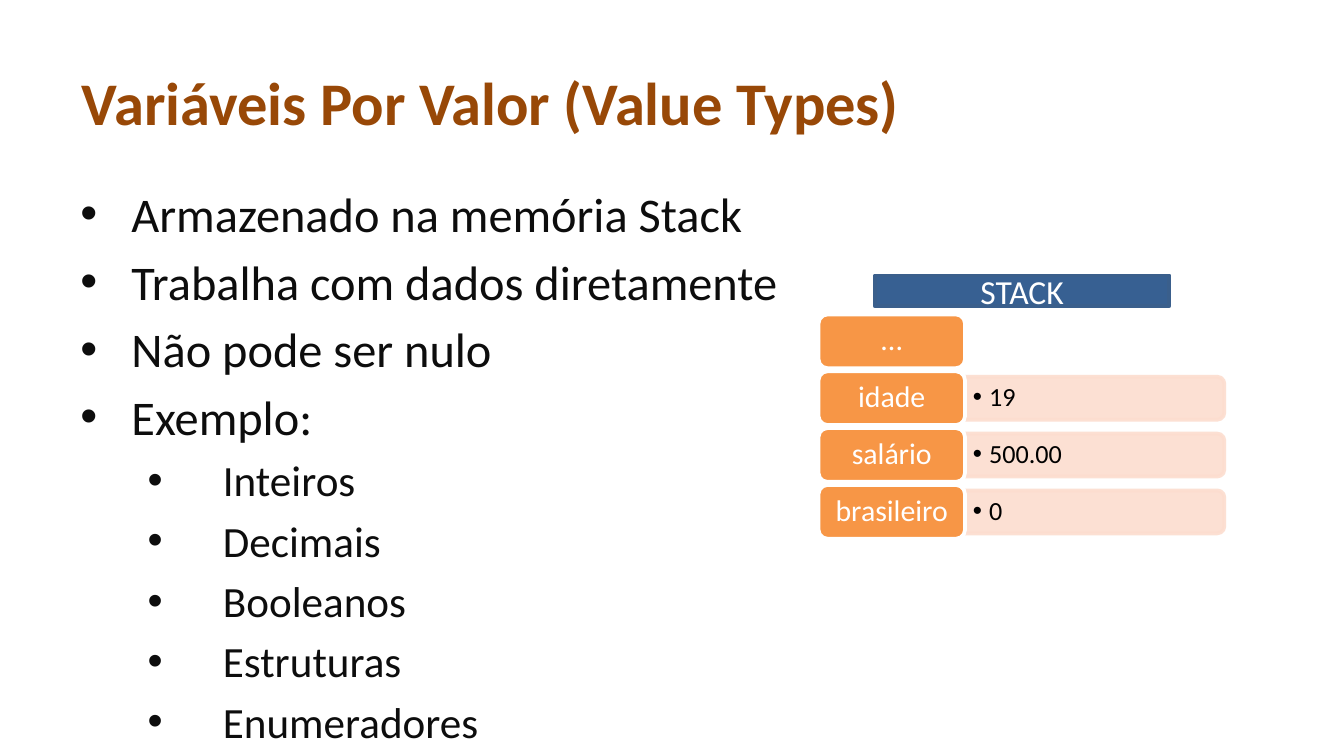
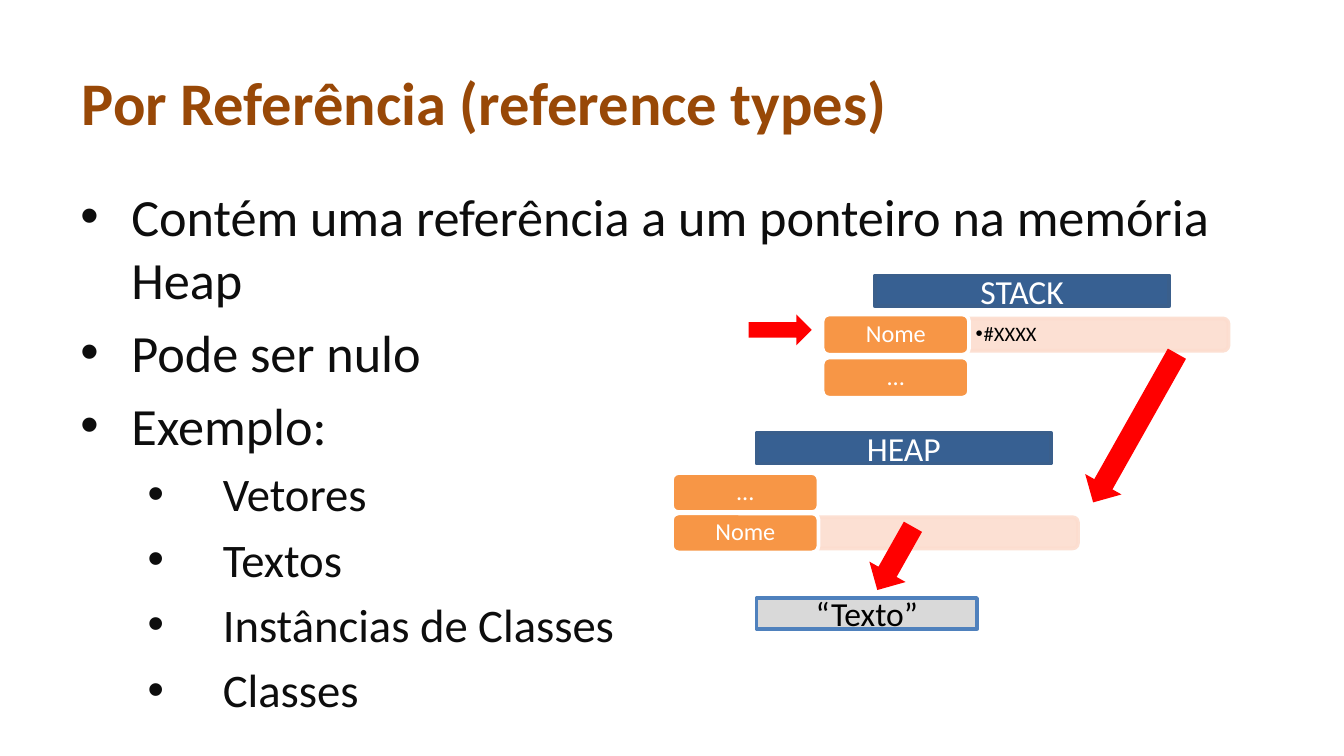
import pptx
import pptx.dml.color
import pptx.enum.shapes
import pptx.enum.text
import pptx.oxml.ns
import pptx.util
from lxml import etree

COLORS = {
    "title": "984807",
    "body": "0D0D0D",
    "name": "F79646",
    "value": "FCDDCF",
    "header": "376092",
    "header_line": "3A5F8C",
    "arrow": "FF0000",
    "object": "D9D9D9",
    "object_line": "4F81BD",
    "white": "FFFFFF",
    "black": "000000",
}
FONT = "Calibri"
UNIT = 0.1  # inches per grid column and row
COLUMNS, ROWS = 100, 56.25
NAME_WIDTH, VALUE_WIDTH = 10.9, 19.3
SHAPES = pptx.enum.shapes.MSO_SHAPE
LEFT = pptx.enum.text.PP_ALIGN.LEFT
CENTER = pptx.enum.text.PP_ALIGN.CENTER
TOP = pptx.enum.text.MSO_ANCHOR.TOP
MIDDLE = pptx.enum.text.MSO_ANCHOR.MIDDLE


def grid(*lengths):
    return [pptx.util.Inches(length * UNIT) for length in lengths]


def rgb(name):
    return pptx.dml.color.RGBColor.from_string(COLORS[name])


class Deck:
    """Holds the shared style and the slide being drawn."""

    def __init__(self):
        self.presentation = pptx.Presentation()
        width, height = grid(COLUMNS, ROWS)
        self.presentation.slide_width = width
        self.presentation.slide_height = height
        self.slide = None

    def add_slide(self, title):
        layout = self.presentation.slide_layouts[5]
        self.slide = self.presentation.slides.add_slide(layout)
        shape = self.slide.shapes.title
        shape.left, shape.top, shape.width, shape.height = grid(5.1, 4.3, 90, 6.5)
        shape.text_frame.text = title
        self.format_text(shape, 32.4, "title", bold=True)

    def format_text(self, shape, size, color, align=LEFT, anchor=MIDDLE,
                    bold=False, insets=None):
        frame = shape.text_frame
        frame.word_wrap = True
        frame.auto_size = pptx.enum.text.MSO_AUTO_SIZE.NONE
        frame.vertical_anchor = anchor
        if insets:
            horizontal, vertical = grid(*insets)
            frame.margin_left = frame.margin_right = horizontal
            frame.margin_top = frame.margin_bottom = vertical
        for paragraph in frame.paragraphs:
            paragraph.alignment = align
            self.format_runs(paragraph, size, color, bold)

    def format_runs(self, paragraph, size, color, bold=False):
        for run in paragraph.runs:
            run.font.name = FONT
            run.font.size = pptx.util.Pt(size)
            run.font.bold = bold
            run.font.color.rgb = rgb(color)

    def add_bullet(self, paragraph, margin, hanging):
        properties = paragraph._p.get_or_add_pPr()
        margin, hanging = grid(margin, hanging)
        properties.set("marL", str(margin))
        properties.set("indent", str(-hanging))
        for tag, name, value in (("a:buFont", "typeface", "Arial"),
                                 ("a:buChar", "char", "•")):
            bullet = etree.SubElement(properties, pptx.oxml.ns.qn(tag))
            bullet.set(name, value)

    def set_opacity(self, shape, percent):
        for color in shape._element.spPr.iter(pptx.oxml.ns.qn("a:srgbClr")):
            alpha = etree.SubElement(color, pptx.oxml.ns.qn("a:alpha"))
            alpha.set("val", str(percent * 1000))

    def shape(self, kind, box, fill, line=None, rotation=0):
        shape = self.slide.shapes.add_shape(kind, *grid(*box))
        shape.shadow.inherit = False
        shape.rotation = rotation
        shape.fill.solid()
        shape.fill.fore_color.rgb = rgb(fill)
        if line:
            shape.line.color.rgb = rgb(line)
            shape.line.width = pptx.util.Pt(2)
        else:
            shape.line.fill.background()
        return shape

    def label(self, text, left, top, width=21.9, fill="header",
              line="header_line", color="white"):
        shape = self.shape(SHAPES.RECTANGLE, (left, top, width, 2.3), fill, line)
        shape.text_frame.text = text
        self.format_text(shape, 18, color, CENTER)

    def arrow(self, box, rotation=0):
        self.shape(SHAPES.RIGHT_ARROW, box, "arrow", rotation=rotation)

    def topics(self, items, size, sub_items, sub_size):
        box = self.slide.shapes.add_textbox(*grid(5, 13.2, 90, 40.9))
        box.text_frame.text = "\n".join(items + sub_items)
        self.format_text(box, size, "body", anchor=TOP)
        for index, paragraph in enumerate(box.text_frame.paragraphs):
            is_sub = index >= len(items)
            text_size = sub_size if is_sub else size
            paragraph.level = int(is_sub)
            paragraph.space_before = pptx.util.Pt(round(text_size * 0.2, 1))
            self.format_runs(paragraph, text_size, "body")
            self.add_bullet(paragraph, *((10.6, 5.6) if is_sub else (3.8, 3.8)))

    def memory(self, rows, left, top, pitch, height, name_size,
               value_size=11, hanging=0.6):
        """Draw one row per variable; a value of None leaves out the band."""
        band = height * 0.8
        value_left = left + NAME_WIDTH
        for index, (name, value) in enumerate(rows):
            row_top = top + index * pitch
            middle = row_top + height / 2
            if value is not None:
                center = value_left + VALUE_WIDTH / 2
                box = (center - band / 2, middle - VALUE_WIDTH / 2, band, VALUE_WIDTH)
                shape = self.shape(SHAPES.ROUND_2_SAME_RECTANGLE, box,
                                   "value", "value", rotation=90)
                self.set_opacity(shape, 90)
            if value:
                shape = self.slide.shapes.add_textbox(
                    *grid(value_left, middle - band / 2, VALUE_WIDTH, band))
                shape.text_frame.text = value
                self.format_text(shape, value_size, "black",
                                 insets=(hanging / 2 if hanging > 1 else 0.5, 0.2))
                paragraph = shape.text_frame.paragraphs[0]
                paragraph.line_spacing = 0.9
                self.add_bullet(paragraph, hanging, hanging)
            shape = self.shape(SHAPES.ROUNDED_RECTANGLE,
                               (left, row_top, NAME_WIDTH, height), "name", "white")
            shape.text_frame.text = name
            self.format_text(shape, name_size, "white", CENTER, insets=(0.7, 0.3))
            shape.text_frame.paragraphs[0].line_spacing = 0.9


def main():
    deck = Deck()

    # Value types
    deck.add_slide("Variáveis Por Valor (Value Types)")
    deck.topics(
        ["Armazenado na memória Stack", "Trabalha com dados diretamente",
         "Não pode ser nulo", "Exemplo:"], 25.9,
        ["Inteiros", "Decimais", "Booleanos", "Estruturas", "Enumeradores"], 23.1)
    deck.memory([("...", None), ("idade", "19"), ("salário", "500.00"),
                 ("brasileiro", "0")], 60.9, 23.4, 4.23, 4,
                name_size=16, value_size=14, hanging=1.2)
    deck.label("STACK", 65.1, 20.5)

    # Reference types
    deck.add_slide("Por Referência (reference types)")
    deck.topics(
        ["Contém uma referência a um ponteiro na memória Heap",
         "Pode ser nulo", "Exemplo:"], 28,
        ["Vetores", "Textos", "Instâncias de Classes", "Classes"], 25)
    deck.memory([("Nome", "#XXXX"), ("...", None)], 61.2, 23.4, 3.2, 3, name_size=13)
    deck.memory([("...", None), ("Nome", "")], 50, 35.2, 3, 2.9, name_size=13)
    deck.arrow((55.7, 23.4, 4.7, 2.3))
    deck.arrow((78.1, 30.3, 12.7, 3.1), rotation=119.4)
    deck.label("HEAP", 56.3, 32.2)
    deck.label("STACK", 65.1, 20.5)
    deck.arrow((63.9, 40, 5.4, 3.1), rotation=119.4)
    deck.label("“Texto”", 56.3, 44.5, 16.4, "object", "object_line", "black")

    deck.presentation.save("out.pptx")


if __name__ == "__main__":
    main()
